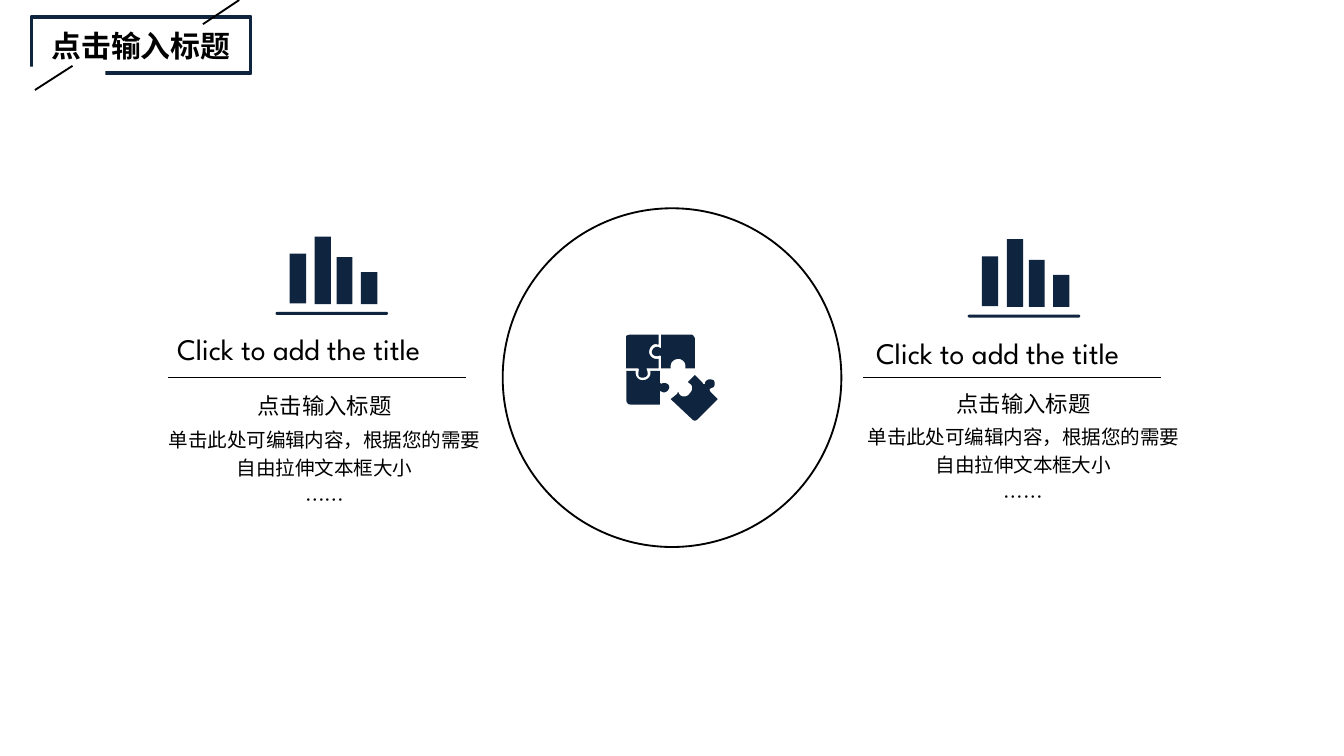
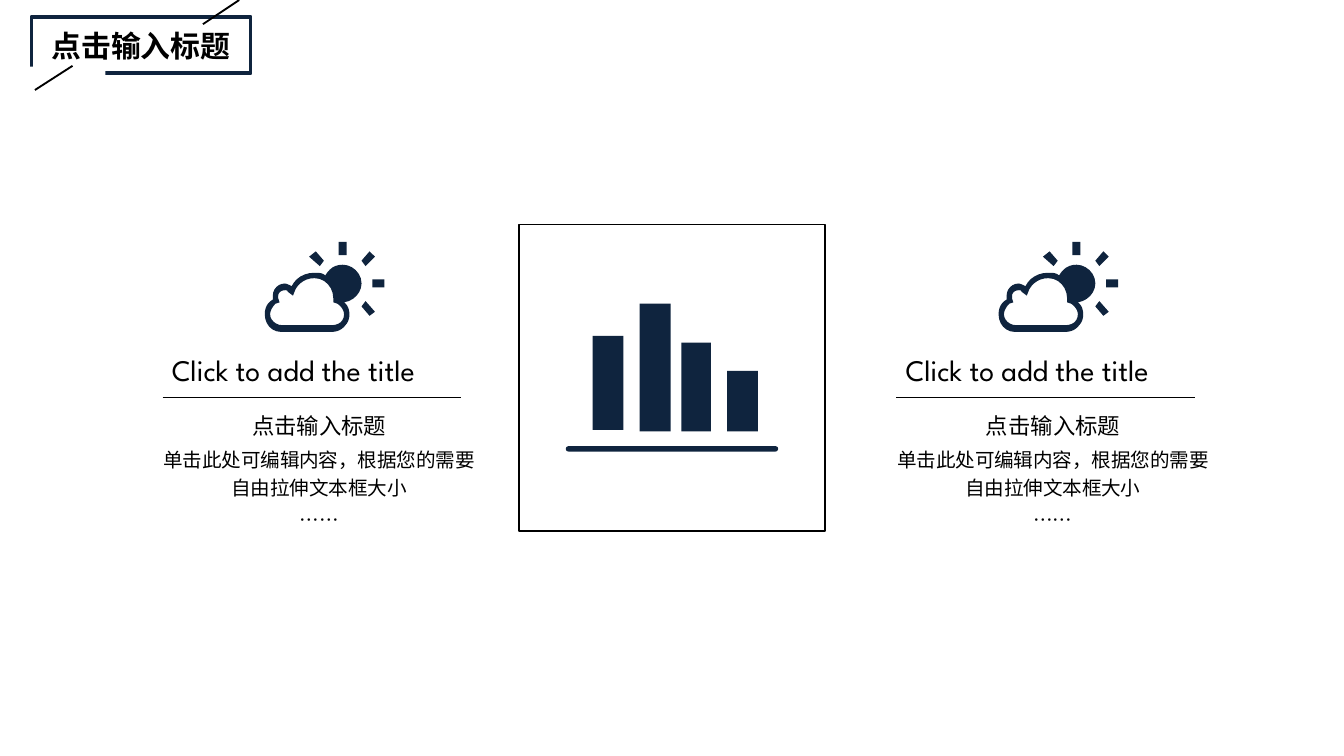
from dataclasses import dataclass

from lxml.etree import SubElement
from pptx import Presentation
from pptx.dml.color import RGBColor
from pptx.enum.shapes import MSO_CONNECTOR, MSO_SHAPE as SHAPE
from pptx.enum.text import MSO_AUTO_SIZE, PP_ALIGN as ALIGN
from pptx.oxml.ns import qn
from pptx.util import Inches, Pt

COLORS = {"navy": "0F243E", "black": "000000", "white": "FFFFFF"}
HEAD_FONT, TITLE_FONT, BODY_FONT = "Arial", "League Spartan", "Noto Sans CJK SC"
HEADING = "点击输入标题"
TITLE = "Click to add the title"
DETAIL = "单击此处可编辑内容，根据您的需要自由拉伸文本框大小"
RULE_LENGTH = 2.22
CURVE_STEPS = 6

# An outline is a start point, then points (x, y) or cubic curves (x1, y1, x2, y2, x, y)
Outline = list[tuple[float, ...]]


@dataclass(frozen=True)
class Column:
    """Places of one text column: both text boxes and the rule between them."""
    text_x: float
    title_y: float
    body_y: float
    rule_x: float
    rule_y: float


@dataclass(frozen=True)
class Para:
    text: str
    size: float


BODY = [Para(HEADING, 12), Para(DETAIL, 10.5), Para("……", 10.5)]

# Bar icon at full size: (x, top, width, height)
BARS = [(0.2, 0.24, 0.23, 0.7), (0.55, 0, 0.23, 0.95),
        (0.86, 0.29, 0.22, 0.66), (1.2, 0.5, 0.23, 0.45)]
BAR_BASE = (0, 1.06, 1.58, 0.04)
SMALL_BARS = 0.53

# Weather icon
CLOUD: list[Outline] = [
    [(0.72, 0.31), (0.72, 0.23, 0.65, 0.17, 0.58, 0.17),
     (0.52, 0.17, 0.48, 0.2, 0.45, 0.25), (0.43, 0.23, 0.4, 0.23, 0.37, 0.23),
     (0.29, 0.23, 0.23, 0.27, 0.2, 0.33), (0.18, 0.32, 0.16, 0.31, 0.15, 0.31),
     (0.1, 0.31, 0.06, 0.35, 0.06, 0.4), (0.06, 0.43),
     (0.02, 0.45, 0, 0.49, 0, 0.54), (0, 0.61, 0.05, 0.67, 0.12, 0.67),
     (0.5, 0.67), (0.54, 0.67, 0.58, 0.65, 0.6, 0.62),
     (0.62, 0.6, 0.63, 0.57, 0.63, 0.54), (0.63, 0.51, 0.62, 0.47, 0.59, 0.45),
     (0.66, 0.44, 0.72, 0.38, 0.72, 0.31)],
    [(0.5, 0.62), (0.13, 0.62), (0.08, 0.62, 0.04, 0.58, 0.04, 0.54),
     (0.04, 0.51, 0.06, 0.48, 0.08, 0.46), (0.11, 0.45), (0.1, 0.42),
     (0.1, 0.4), (0.1, 0.38, 0.12, 0.36, 0.15, 0.36),
     (0.16, 0.36, 0.17, 0.36, 0.17, 0.37), (0.21, 0.4), (0.23, 0.35),
     (0.26, 0.3, 0.31, 0.27, 0.37, 0.27), (0.45, 0.27, 0.51, 0.34, 0.51, 0.42),
     (0.51, 0.45), (0.54, 0.46), (0.57, 0.48, 0.59, 0.51, 0.59, 0.54),
     (0.59, 0.59, 0.55, 0.62, 0.5, 0.62)],
]
STRAIGHT_RAYS = [(0.55, 0, 0.06, 0.1), (0.8, 0.28, 0.09, 0.06)]
SLANTED_RAYS: list[Outline] = [
    [(0.82, 0.11), (0.78, 0.07), (0.72, 0.14), (0.75, 0.18)],
    [(0.72, 0.48), (0.78, 0.55), (0.82, 0.52), (0.75, 0.44)],
    [(0.44, 0.14), (0.38, 0.07), (0.33, 0.11), (0.41, 0.18)],
]

# Puzzle icon
PUZZLE_RIGHT: Outline = [
    (0.19, 0.13), (0.19, 0.15, 0.21, 0.16, 0.23, 0.16),
    (0.24, 0.16, 0.25, 0.15, 0.26, 0.16), (0.26, 0.18), (0.26, 0.25),
    (0.33, 0.25), (0.33, 0.23), (0.33, 0.2, 0.36, 0.18, 0.39, 0.18),
    (0.41, 0.18, 0.44, 0.2, 0.44, 0.23), (0.44, 0.25), (0.51, 0.25),
    (0.51, 0.03), (0.51, 0.03, 0.51, 0.02, 0.5, 0.01),
    (0.5, 0, 0.48, 0, 0.48, 0), (0.26, 0), (0.26, 0.07),
    (0.26, 0.09, 0.26, 0.09, 0.26, 0.1), (0.25, 0.1, 0.24, 0.09, 0.23, 0.09),
    (0.21, 0.09, 0.19, 0.11, 0.19, 0.13),
]
PUZZLE_LEFT: Outline = [
    (0, 0.25), (0.09, 0.25), (0.1, 0.26, 0.09, 0.27, 0.09, 0.29),
    (0.09, 0.31, 0.1, 0.32, 0.12, 0.32), (0.14, 0.32, 0.16, 0.31, 0.16, 0.29),
    (0.16, 0.27, 0.15, 0.26, 0.15, 0.25), (0.24, 0.25), (0.24, 0.18),
    (0.22, 0.18), (0.19, 0.18, 0.17, 0.15, 0.17, 0.13),
    (0.17, 0.1, 0.19, 0.07, 0.22, 0.07), (0.23, 0.07, 0.24, 0.08, 0.24, 0.07),
    (0.24, 0), (0.03, 0), (0.03, 0, 0.01, 0, 0, 0.01), (0, 0.04),
]
PUZZLE_LOOSE: Outline = [
    (0.53, 0.63), (0.68, 0.48), (0.63, 0.43), (0.62, 0.42, 0.62, 0.41, 0.62, 0.41),
    (0.62, 0.4, 0.63, 0.4, 0.65, 0.39), (0.66, 0.38, 0.66, 0.35, 0.65, 0.34),
    (0.63, 0.33, 0.61, 0.33, 0.6, 0.34), (0.58, 0.35, 0.59, 0.37, 0.58, 0.37),
    (0.57, 0.37, 0.57, 0.36, 0.56, 0.35), (0.51, 0.3), (0.46, 0.35),
    (0.46, 0.36, 0.47, 0.36, 0.48, 0.37), (0.5, 0.39, 0.49, 0.42, 0.47, 0.44),
    (0.46, 0.46, 0.42, 0.47, 0.4, 0.45), (0.39, 0.44, 0.39, 0.43, 0.39, 0.43),
    (0.38, 0.43, 0.38, 0.43, 0.38, 0.44), (0.33, 0.48), (0.49, 0.63),
    (0.49, 0.63, 0.5, 0.64, 0.51, 0.64), (0.52, 0.64, 0.53, 0.63, 0.53, 0.63),
]


# Basic drawing
def rgb(name: str) -> RGBColor:
    return RGBColor.from_string(COLORS[name])


def paint(sp, fill: str | None = None, line: str | None = None, width: float = 1) -> None:
    sp.shadow.inherit = False
    if fill:
        sp.fill.solid()
        sp.fill.fore_color.rgb = rgb(fill)
    else:
        sp.fill.background()
    if line:
        sp.line.color.rgb = rgb(line)
        sp.line.width = Pt(width)
    else:
        sp.line.fill.background()


def add_box(slide, kind, x: float, y: float, w: float, h: float,
            rotation: float = 0, **style):
    sp = slide.shapes.add_shape(kind, Inches(x), Inches(y), Inches(w), Inches(h))
    sp.rotation = rotation
    paint(sp, **style)
    return sp


def add_line(slide, x1: float, y1: float, x2: float, y2: float, width: float) -> None:
    line = slide.shapes.add_connector(
        MSO_CONNECTOR.STRAIGHT, Inches(x1), Inches(y1), Inches(x2), Inches(y2))
    line.line.color.rgb = rgb("black")
    line.line.width = Pt(width)
    SubElement(line._element.spPr, qn("a:effectLst"))


def add_text(slide, paras: list[Para], x: float, y: float, w: float, h: float, *,
             font: str, bold: bool = False, align=ALIGN.LEFT, inset: bool = True,
             spaced: bool = False) -> None:
    tf = slide.shapes.add_textbox(Inches(x), Inches(y), Inches(w), Inches(h)).text_frame
    tf.word_wrap = True
    tf.auto_size = MSO_AUTO_SIZE.SHAPE_TO_FIT_TEXT
    if not inset:
        tf.margin_left = tf.margin_right = tf.margin_top = tf.margin_bottom = 0
    for i, para in enumerate(paras):
        p = tf.add_paragraph() if i else tf.paragraphs[0]
        p.alignment = align
        if spaced:
            p.line_spacing = 1.2
            before = SubElement(p._p.get_or_add_pPr(), qn("a:spcBef"))
            SubElement(before, qn("a:spcPct"), val="20000")
        r = p.add_run()
        r.text = para.text
        r.font.size = Pt(para.size)
        r.font.bold = bold
        r.font.color.rgb = rgb("black")
        r.font.name = font
        SubElement(r._r.get_or_add_rPr(), qn("a:ea"), typeface=font)


def flatten(outline: Outline) -> list[tuple[float, float]]:
    """Turn the curves of an outline into short straight steps."""
    points = [outline[0]]
    for seg in outline[1:]:
        if len(seg) == 2:
            points.append(seg)
            continue
        x0, y0 = points[-1]
        x1, y1, x2, y2, x3, y3 = seg
        for step in range(1, CURVE_STEPS + 1):
            t = step / CURVE_STEPS
            a, b, c, d = (1 - t) ** 3, 3 * t * (1 - t) ** 2, 3 * t * t * (1 - t), t ** 3
            points.append((a * x0 + b * x1 + c * x2 + d * x3,
                           a * y0 + b * y1 + c * y2 + d * y3))
    return points


def add_outline(slide, outlines: list[Outline], x: float, y: float) -> None:
    builder = None
    for outline in outlines:
        pts = [(Inches(x + px), Inches(y + py)) for px, py in flatten(outline)]
        if builder is None:
            builder = slide.shapes.build_freeform(*pts[0])
        else:
            builder.move_to(*pts[0])
        builder.add_line_segments(pts[1:], close=True)
    paint(builder.convert_to_shape(), fill="navy")


# Icons
def bar_icon(slide, x: float, y: float, scale: float = 1) -> None:
    def part(kind, box):
        left, top, w, h = (scale * v for v in box)
        return add_box(slide, kind, x + left, y + top, w, h, fill="navy")

    part(SHAPE.ROUNDED_RECTANGLE, BAR_BASE).adjustments[0] = 0.5
    for bar in BARS:
        part(SHAPE.RECTANGLE, bar)


def weather_icon(slide, x: float, y: float) -> None:
    add_outline(slide, CLOUD, x, y)
    for left, top, w, h in STRAIGHT_RAYS:
        add_box(slide, SHAPE.RECTANGLE, x + left, y + top, w, h, fill="navy")
    for ray in SLANTED_RAYS:
        add_outline(slide, [ray], x, y)


def puzzle_icon(slide, x: float, y: float) -> None:
    # The lower piece is the right one turned by half
    lower = [(0.51 - px, 0.52 - py) for px, py in flatten(PUZZLE_RIGHT)]
    for piece in (PUZZLE_RIGHT, PUZZLE_LEFT, lower, PUZZLE_LOOSE):
        add_outline(slide, [piece], x, y)


# Shared slide parts
def new_slide(prs):
    """A blank slide with the framed heading."""
    slide = prs.slides.add_slide(prs.slide_layouts[6])
    add_box(slide, SHAPE.RECTANGLE, 0.84, -0.48, 0.42, 1.63, rotation=270,
            line="navy", width=2)
    add_box(slide, SHAPE.RECTANGLE, 0.35, 0.14, 0.08, 0.79, rotation=270, fill="white")
    add_line(slide, 1.78, 0, 1.51, 0.18, 1)
    add_line(slide, 0.54, 0.49, 0.26, 0.67, 1)
    add_text(slide, [Para(HEADING, 16)], -0.05, 0.16, 2.2, 0.37,
             font=HEAD_FONT, bold=True, align=ALIGN.CENTER)
    return slide


def text_column(slide, col: Column) -> None:
    add_line(slide, col.rule_x, col.rule_y, col.rule_x + RULE_LENGTH, col.rule_y, 0.75)
    add_text(slide, [Para(TITLE, 16)], col.text_x, col.title_y, 2.47, 0.37,
             font=TITLE_FONT)
    add_text(slide, BODY, col.text_x, col.body_y, 2.39, 0.95, font=BODY_FONT,
             align=ALIGN.CENTER, inset=False, spaced=True)


# A 16:9 page, ten inches wide
prs = Presentation()
prs.slide_width = Inches(10)
prs.slide_height = prs.slide_width * 9 // 16

# Slide 1: puzzle in a circle between two bar icons
s = new_slide(prs)
add_box(s, SHAPE.OVAL, 3.74, 1.55, 2.52, 2.52, line="black")
puzzle_icon(s, 4.66, 2.49)
text_column(s, Column(1.22, 2.41, 2.88, 1.25, 2.81))
text_column(s, Column(6.42, 2.44, 2.86, 6.42, 2.81))
bar_icon(s, 2.05, 1.76, SMALL_BARS)
bar_icon(s, 7.2, 1.78, SMALL_BARS)

# Slide 2: bar icon in a square between two weather icons
s = new_slide(prs)
add_box(s, SHAPE.RECTANGLE, 3.86, 1.67, 2.28, 2.28, line="black")
bar_icon(s, 4.21, 2.26)
for shift in (0, 5.46):
    text_column(s, Column(1.18 + shift, 2.57, 3.03, 1.21 + shift, 2.96))
    weather_icon(s, 1.97 + shift, 1.8)

prs.save("out.pptx")
